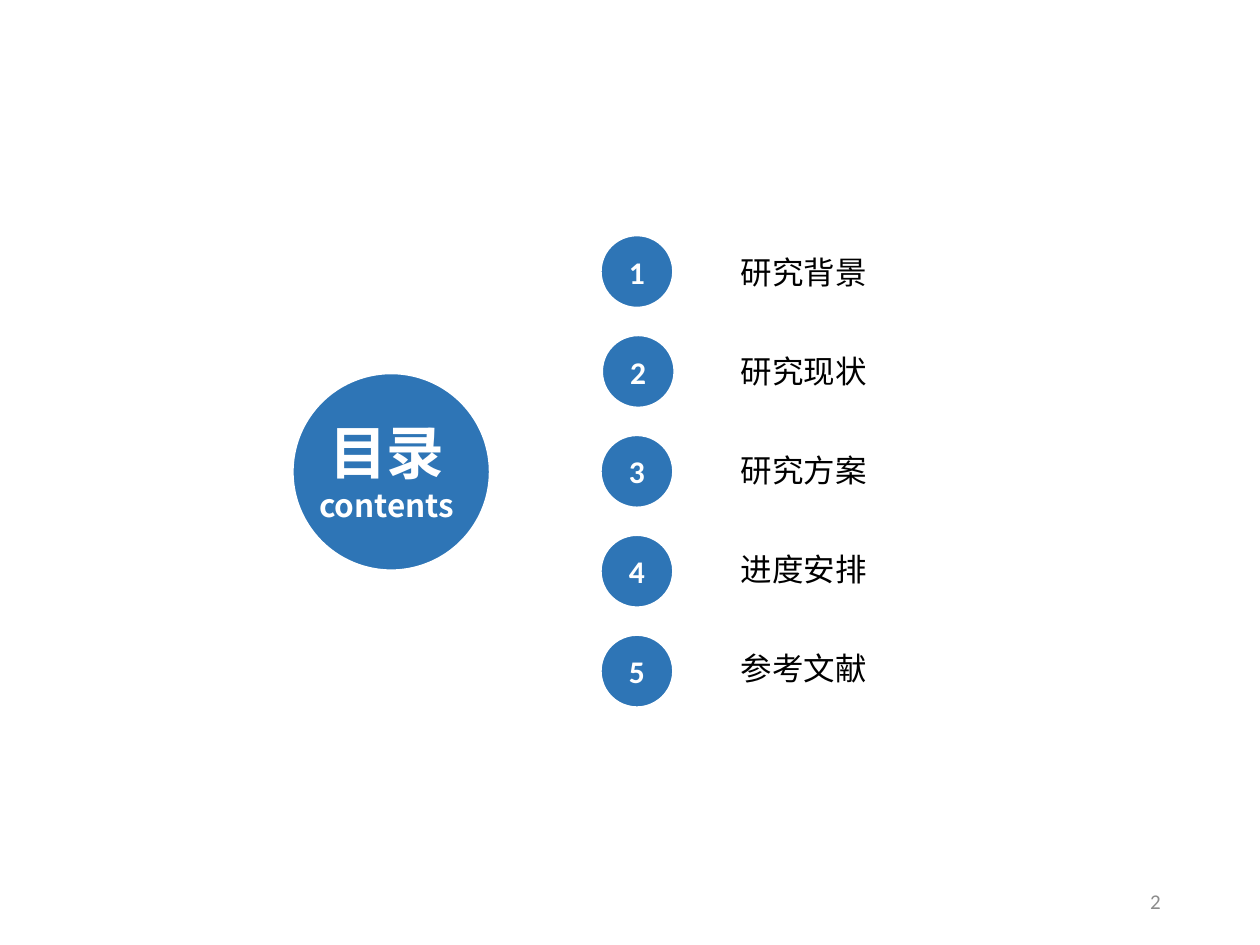
from dataclasses import dataclass

from pptx import Presentation
from pptx.dml.color import RGBColor as RGB
from pptx.enum.shapes import MSO_SHAPE as Shape
from pptx.enum.text import MSO_ANCHOR as Anchor, PP_ALIGN as Align
from pptx.oxml.ns import qn
from pptx.util import Emu, Inches, Pt


@dataclass(frozen=True)
class Theme:
    blue: RGB = RGB(0x2E, 0x75, 0xB6)
    white: RGB = RGB(0xFF, 0xFF, 0xFF)
    black: RGB = RGB(0, 0, 0)
    grey: RGB = RGB(0x8C, 0x8C, 0x8C)
    latin: str = "Calibri"
    cjk: str = "Noto Sans CJK SC"
    title: float = 33
    body: float = 18
    small: float = 12


@dataclass(frozen=True)
class Box:
    """Position and size in percent of the slide."""
    x: float
    y: float
    w: float
    h: float

    def down(self, rows: int, pitch: float) -> "Box":
        return Box(self.x, self.y + rows * pitch, self.w, self.h)

    def right(self, dx: float) -> "Box":
        return Box(self.x + dx, self.y, self.w, self.h)

    def emu(self) -> list[Emu]:
        sizes = (WIDTH, HEIGHT, WIDTH, HEIGHT)
        shares = (self.x, self.y, self.w, self.h)
        return [Emu(round(size * share / 100)) for size, share in zip(sizes, shares)]


@dataclass(frozen=True)
class Line:
    text: str
    size: float
    color: RGB
    font: str
    bold: bool = False


@dataclass(frozen=True)
class Entry:
    label: str
    dot_shift: float = 0
    wrap: bool = False


THEME = Theme()
WIDTH, HEIGHT = Inches(10), Inches(7.5)
DOT, DOT_PITCH = Box(47.6, 24.8, 5.9, 7.87), 10.57
LABEL, LABEL_PITCH = Box(57.8, 26.13, 12.1, 5.33), 10.47
HUB = Box(23.1, 39.33, 15.9, 21.2)
HEADING = Box(22.4, 43.47, 16.6, 12.8)
PAGE_NUMBER = Box(70.6, 92.67, 22.5, 5.33)
ENTRIES = [
    Entry("研究背景"),
    Entry("研究现状", dot_shift=0.1),
    Entry("研究方案", wrap=True),
    Entry("进度安排"),
    Entry("参考文献"),
]


def write(tf, lines: list[Line], align: Align, anchor: Anchor) -> None:
    tf.vertical_anchor = anchor
    for i, line in enumerate(lines):
        p = tf.add_paragraph() if i else tf.paragraphs[0]
        p.alignment = align
        r = p.add_run()
        r.text = line.text
        font = r.font
        font.name, font.size, font.bold = line.font, Pt(line.size), line.bold
        font.color.rgb = line.color
        ea = r._r.get_or_add_rPr().makeelement(qn("a:ea"), {"typeface": THEME.cjk})
        r._r.rPr.find(qn("a:latin")).addnext(ea)


def add_circle(s, box: Box, border: float):
    sp = s.shapes.add_shape(Shape.OVAL, *box.emu())
    sp.shadow.inherit = False
    sp.fill.solid()
    sp.fill.fore_color.rgb = THEME.blue
    sp.line.color.rgb = THEME.white
    sp.line.width = Pt(border)
    return sp


def add_text(s, box: Box, lines: list[Line], align: Align = Align.LEFT,
             anchor: Anchor = Anchor.TOP, wrap: bool = True) -> None:
    tf = s.shapes.add_textbox(*box.emu()).text_frame
    tf.word_wrap = wrap
    write(tf, lines, align, anchor)


def add_entry(s, row: int, entry: Entry) -> None:
    dot = add_circle(s, DOT.down(row, DOT_PITCH).right(entry.dot_shift), 2.25)
    number = Line(str(row + 1), THEME.body, THEME.white, THEME.latin, True)
    write(dot.text_frame, [number], Align.CENTER, Anchor.MIDDLE)
    label = Line(entry.label, THEME.body, THEME.black, THEME.latin)
    add_text(s, LABEL.down(row, LABEL_PITCH), [label], wrap=entry.wrap)


def main() -> None:
    prs = Presentation()
    prs.slide_width, prs.slide_height = WIDTH, HEIGHT
    s = prs.slides.add_slide(prs.slide_layouts[6])
    for row, entry in enumerate(ENTRIES):
        add_entry(s, row, entry)
    add_circle(s, HUB, 3)
    heading = [
        Line("目录", THEME.title, THEME.white, THEME.cjk, True),
        Line("contents", THEME.body, THEME.white, THEME.cjk, True),
    ]
    add_text(s, HEADING, heading, Align.CENTER)
    page = Line("2", THEME.small, THEME.grey, THEME.latin)
    add_text(s, PAGE_NUMBER, [page], Align.RIGHT, Anchor.MIDDLE)
    prs.save("out.pptx")


if __name__ == "__main__":
    main()
